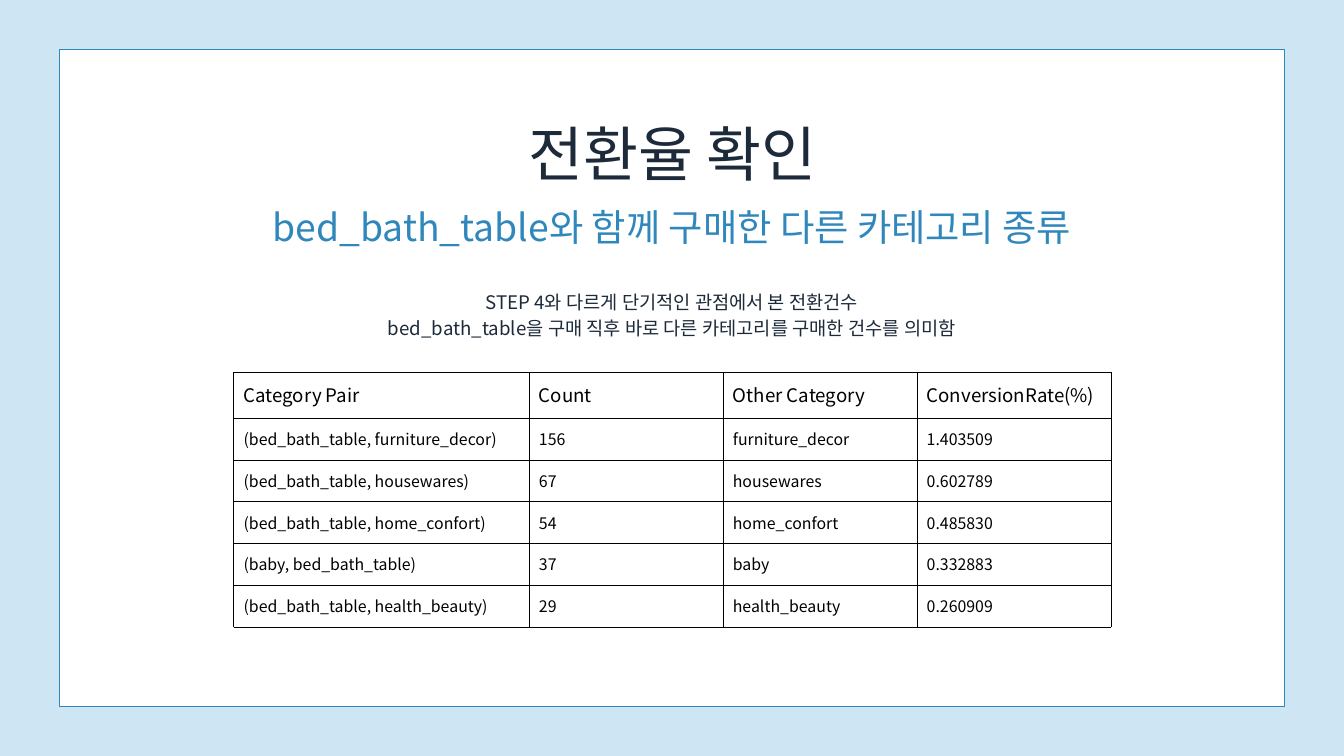
from lxml import etree
from pptx import Presentation
from pptx.dml.color import RGBColor
from pptx.enum.shapes import MSO_SHAPE
from pptx.enum.text import MSO_ANCHOR, MSO_AUTO_SIZE, PP_ALIGN
from pptx.oxml.ns import qn
from pptx.util import Emu, Pt

RECTANGLE = MSO_SHAPE.RECTANGLE
TOP, MIDDLE = MSO_ANCHOR.TOP, MSO_ANCHOR.MIDDLE
NO_AUTOFIT = MSO_AUTO_SIZE.NONE
LEFT, CENTER, JUSTIFY = PP_ALIGN.LEFT, PP_ALIGN.CENTER, PP_ALIGN.JUSTIFY
TITLE_ONLY = 5
EMU_PER_PX = 9525


def px(length):
    return Emu(length * EMU_PER_PX)


def color(value):
    return RGBColor.from_string(value)


class SlideBuilder:
    FONT = "Noto Sans CJK KR"
    BACKGROUND = "CEE6F4"
    PANEL = "FFFFFF"
    ACCENT = "3087BB"
    INK = "1D2A3A"
    GRID = "000000"
    LINE_RATIO = 1.4
    CELL_INSET = 14

    def __init__(self, slide):
        self.slide = slide
        fill = slide.background.fill
        fill.solid()
        fill.fore_color.rgb = color(self.BACKGROUND)

    def panel(self, left, top, width, height):
        shape = self.slide.shapes.add_shape(RECTANGLE, px(left), px(top), px(width), px(height))
        shape.shadow.inherit = False
        shape.fill.solid()
        shape.fill.fore_color.rgb = color(self.PANEL)
        shape.line.color.rgb = color(self.ACCENT)
        shape.line.width = Pt(1.5)

    def add_lines(self, frame, lines, size, ink, alignment):
        for index, line in enumerate(lines):
            paragraph = frame.add_paragraph() if index else frame.paragraphs[0]
            paragraph.alignment = alignment
            paragraph.line_spacing = Pt(size * self.LINE_RATIO)
            paragraph.space_before = Pt(0)
            run = paragraph.add_run()
            run.text = line
            run.font.size = Pt(size)
            run.font.color.rgb = color(ink)
            run.font.name = self.FONT
            properties = run.font._element
            etree.SubElement(properties, qn("a:ea")).set("typeface", self.FONT)

    def fill_box(self, shape, lines, size, ink):
        frame = shape.text_frame
        frame.word_wrap = True
        frame.auto_size = NO_AUTOFIT
        frame.vertical_anchor = TOP
        frame.margin_left = frame.margin_right = frame.margin_top = frame.margin_bottom = 0
        self.add_lines(frame, lines, size, ink, CENTER)

    def title(self, left, top, width, height, text, size):
        shape = self.slide.shapes.title
        shape.left, shape.top = px(left), px(top)
        shape.width, shape.height = px(width), px(height)
        self.slide.shapes._spTree.append(shape._element)
        self.fill_box(shape, [text], size, self.INK)

    def text(self, left, top, width, height, lines, size, ink):
        shape = self.slide.shapes.add_textbox(px(left), px(top), px(width), px(height))
        self.fill_box(shape, lines, size, ink)

    def cell_borders(self, cell):
        properties = cell._tc.get_or_add_tcPr()
        for position, side in enumerate(("a:lnL", "a:lnR", "a:lnT", "a:lnB")):
            border = etree.Element(qn(side), w=str(Pt(0.75)))
            fill = etree.SubElement(border, qn("a:solidFill"))
            etree.SubElement(fill, qn("a:srgbClr")).set("val", self.GRID)
            properties.insert(position, border)

    def table(self, left, top, column_widths, row_heights, rows, header_size, body_size):
        shape = self.slide.shapes.add_table(
            len(rows), len(column_widths), px(left), px(top),
            px(sum(column_widths)), px(sum(row_heights)))
        table = shape.table
        table.first_row = table.horz_banding = False
        for column, width in zip(table.columns, column_widths):
            column.width = px(width)
        for row_index, (row, height, values) in enumerate(zip(table.rows, row_heights, rows)):
            row.height = px(height)
            size, alignment = (body_size, LEFT) if row_index else (header_size, JUSTIFY)
            for cell, value in zip(row.cells, values):
                cell.fill.background()
                cell.vertical_anchor = MIDDLE
                cell.margin_left = cell.margin_right = px(self.CELL_INSET)
                cell.margin_top = cell.margin_bottom = px(self.CELL_INSET)
                self.add_lines(cell.text_frame, [value], size, self.GRID, alignment)
                self.cell_borders(cell)


def main():
    presentation = Presentation()
    presentation.slide_width, presentation.slide_height = px(1920), px(1080)
    slide = presentation.slides.add_slide(presentation.slide_layouts[TITLE_ONLY])
    builder = SlideBuilder(slide)

    conversion_rows = [
        ("Category Pair", "Count", "Other Category", "ConversionRate(%)"),
        ("(bed_bath_table, furniture_decor)", "156", "furniture_decor", "1.403509"),
        ("(bed_bath_table, housewares)", "67", "housewares", "0.602789"),
        ("(bed_bath_table, home_confort)", "54", "home_confort", "0.485830"),
        ("(baby, bed_bath_table)", "37", "baby", "0.332883"),
        ("(bed_bath_table, health_beauty)", "29", "health_beauty", "0.260909"),
    ]
    explanation = [
        "STEP 4와 다르게 단기적인 관점에서 본 전환건수",
        "bed_bath_table을 구매 직후 바로 다른 카테고리를 구매한 건수를 의미함",
    ]

    builder.panel(85, 71, 1750, 938)
    builder.table(334, 532, [422] + [277] * 3, [64] + [58] * 5, conversion_rows, 20, 17)
    builder.text(545, 410, 830, 74, explanation, 20, builder.INK)
    builder.title(576, 150, 769, 114, "전환율 확인", 64)
    builder.text(373, 281, 1174, 72, ["bed_bath_table와 함께 구매한 다른 카테고리 종류"],
                 40, builder.ACCENT)

    presentation.save("out.pptx")


if __name__ == "__main__":
    main()
